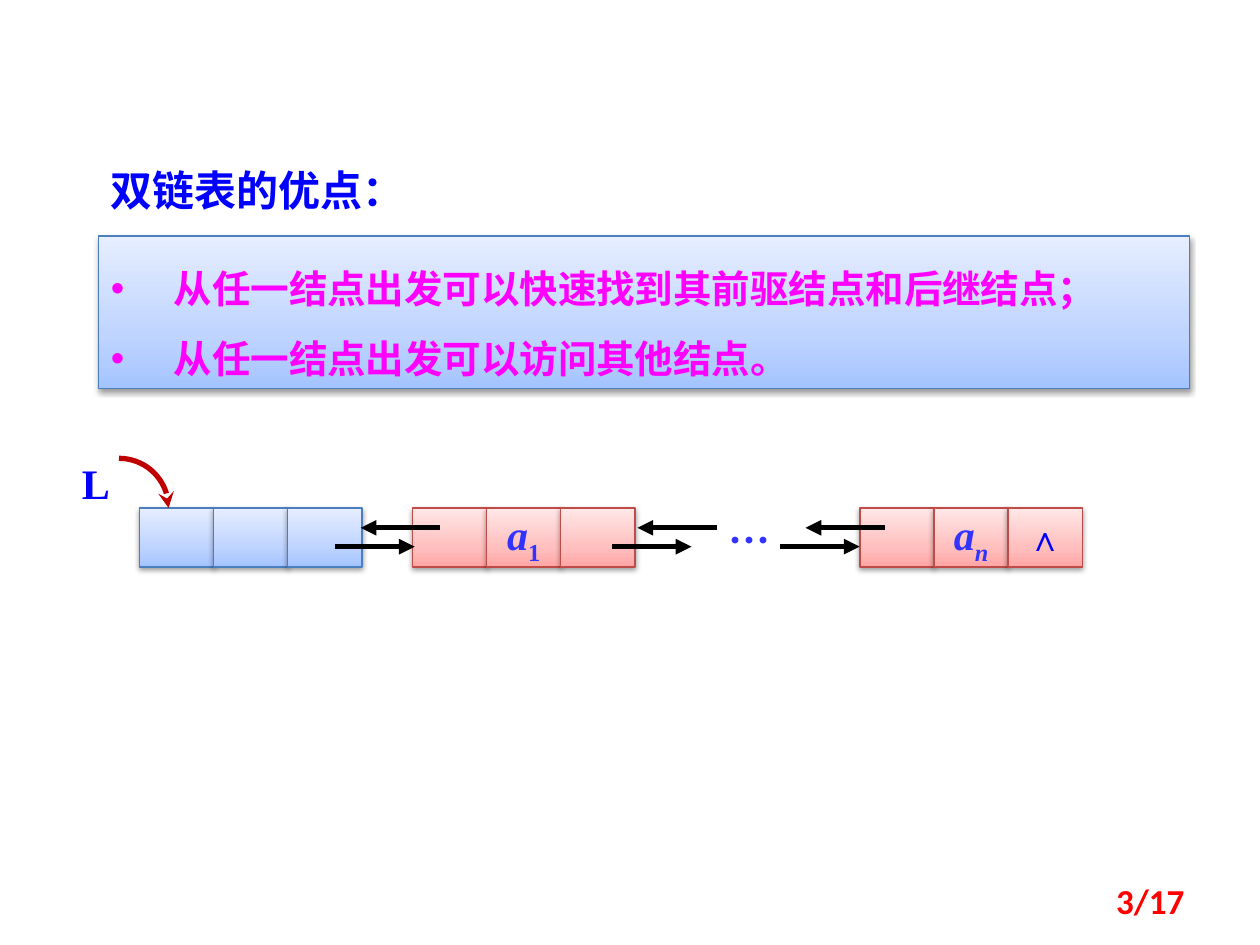
"""Build a slide on the advantages of a doubly linked list."""
import copy
import dataclasses
import math

import lxml.etree
import pptx
import pptx.dml.color
import pptx.enum.shapes
import pptx.enum.text
import pptx.oxml.ns
import pptx.util

Cm = pptx.util.Cm
Pt = pptx.util.Pt
qn = pptx.oxml.ns.qn
Align = pptx.enum.text.PP_ALIGN
Anchor = pptx.enum.text.MSO_ANCHOR

COLORS = {
    "blue": "0000FF",
    "symbol": "3333FF",
    "magenta": "FF00FF",
    "red": "FF0000",
    "pointer": "C00000",
    "black": "000000",
    "blue line": "4B7EBC",
    "pink line": "BF4C48",
}
GRADIENTS = {
    "blue": ("A4C4FF", "BFD4FF", "E6EEFF"),
    "pink": ("FFA6A5", "FFC0BF", "FFE7E7"),
}
STOPS = (0, 0.35, 1)
SERIF = "Times New Roman"
CELL_WIDTH, CELL_HEIGHT, CELL_PITCH = 1.5, 1.19, 1.49
NODE_TOP = 10.24
FORWARD_TOP, BACKWARD_TOP = 11.02, 10.64
ARROW_LENGTH, BACKWARD_SHIFT = 1.6, 0.51


@dataclasses.dataclass
class Node:
    left: float
    theme: str
    symbol: str = ""
    subscript: str = ""
    italic_subscript: bool = False
    end_mark: str = ""


@dataclasses.dataclass
class Label:
    text: str
    left: float
    top: float
    width: float
    height: float
    size: int
    font: str
    color: str
    align: Align = Align.LEFT
    anchor: Anchor = Anchor.TOP


NODES = [
    Node(2.82, "blue"),
    Node(8.32, "pink", "a", "1"),
    Node(17.34, "pink", "a", "n", True, "∧"),
]
LINK_LEFTS = [6.76, 12.34, 15.73]
LABELS = [
    Label("3/17", 18.2, 17.65, 5.93, 1.01, 20, "Calibri", "red", Align.RIGHT, Anchor.MIDDLE),
    Label("…", 14.3, 10.24, 1.6, 1.27, 24, "Noto Sans CJK SC", "symbol", Align.CENTER),
    Label("L", 1.4, 9.1, 1.2, 1.27, 24, SERIF, "blue"),
]


def rgb(value: str) -> pptx.dml.color.RGBColor:
    return pptx.dml.color.RGBColor.from_string(value)


def set_font(paragraph, size: int, name: str, color: str) -> None:
    paragraph.font.size = Pt(size)
    paragraph.font.name = name
    paragraph.font.bold = True
    paragraph.font.color.rgb = rgb(COLORS[color])


def place(shape, left: float, top: float, width: float, height: float) -> None:
    shape.left, shape.top = Cm(left), Cm(top)
    shape.width, shape.height = Cm(width), Cm(height)


def style_panel(shape, theme: str) -> None:
    shape.fill.gradient()
    shape.fill.gradient_angle = 90
    stop_list = shape._element.spPr.find(qn("a:gradFill")).find(qn("a:gsLst"))
    stop_list.append(copy.deepcopy(stop_list[0]))
    for stop, position, color in zip(shape.fill.gradient_stops, STOPS, GRADIENTS[theme]):
        stop.position = position
        stop.color.rgb = rgb(color)
    shape.line.color.rgb = rgb(COLORS[f"{theme} line"])
    shape.line.width = Pt(0.75)
    shape.shadow.inherit = False
    effects = shape._element.spPr.find(qn("a:effectLst"))
    shadow = lxml.etree.SubElement(
        effects, qn("a:outerShdw"), blurRad="40000", dist="20000", dir="5400000", rotWithShape="0"
    )
    color = lxml.etree.SubElement(shadow, qn("a:srgbClr"), val=COLORS["black"])
    lxml.etree.SubElement(color, qn("a:alpha"), val="38000")


def style_arrow(shape, color: str, end: str, head: str) -> None:
    shape.line.color.rgb = rgb(COLORS[color])
    shape.line.width = Pt(3)
    properties = shape._element.spPr
    lxml.etree.SubElement(properties.find(qn("a:ln")), qn(f"a:{end}"), type=head)
    lxml.etree.SubElement(properties, qn("a:effectLst"))


def cell_paragraph(cell):
    frame = cell.text_frame
    frame.word_wrap = False
    frame.vertical_anchor = Anchor.MIDDLE
    paragraph = frame.paragraphs[0]
    paragraph.alignment = Align.CENTER
    return paragraph


def add_node(slide, node: Node) -> None:
    cells = []
    for index in range(3):
        cell = slide.shapes.add_shape(
            pptx.enum.shapes.MSO_SHAPE.RECTANGLE,
            Cm(node.left + index * CELL_PITCH), Cm(NODE_TOP), Cm(CELL_WIDTH), Cm(CELL_HEIGHT),
        )
        style_panel(cell, node.theme)
        cells.append(cell)
    if node.symbol:
        paragraph = cell_paragraph(cells[1])
        set_font(paragraph, 24, SERIF, "symbol")
        symbol, subscript = paragraph.add_run(), paragraph.add_run()
        symbol.text, subscript.text = node.symbol, node.subscript
        symbol.font.italic = True
        subscript.font.italic = node.italic_subscript
        subscript._r.get_or_add_rPr().set("baseline", "-25000")
    if node.end_mark:
        paragraph = cell_paragraph(cells[2])
        paragraph.text = node.end_mark
        set_font(paragraph, 20, SERIF, "blue")


def add_link(slide, left: float) -> None:
    for start, top, end in (
        (left, FORWARD_TOP, "tailEnd"),
        (left + BACKWARD_SHIFT, BACKWARD_TOP, "headEnd"),
    ):
        arrow = slide.shapes.add_connector(
            pptx.enum.shapes.MSO_CONNECTOR.STRAIGHT,
            Cm(start), Cm(top), Cm(start + ARROW_LENGTH), Cm(top),
        )
        style_arrow(arrow, "black", end, "triangle")


def add_label(slide, label: Label) -> None:
    box = slide.shapes.add_textbox(Cm(label.left), Cm(label.top), Cm(label.width), Cm(label.height))
    box.text_frame.word_wrap = True
    box.text_frame.vertical_anchor = label.anchor
    paragraph = box.text_frame.paragraphs[0]
    paragraph.text = label.text
    paragraph.alignment = label.align
    set_font(paragraph, label.size, label.font, label.color)


def add_head_pointer(slide, left: float, bottom: float, radius: float) -> None:
    angles = [math.radians(90 - 5 * step) for step in range(19)]
    points = [
        (Cm(left + radius * math.cos(angle)), Cm(bottom - radius * math.sin(angle)))
        for angle in angles
    ]
    builder = slide.shapes.build_freeform(*points[0])
    builder.add_line_segments(points[1:], close=False)
    pointer = builder.convert_to_shape()
    pointer.fill.background()
    style_arrow(pointer, "pointer", "tailEnd", "stealth")


def fill_title(title) -> None:
    place(title, 1.98, 3.18, 13.8, 1.27)
    frame = title.text_frame
    frame.text = "双链表的优点："
    frame.vertical_anchor = Anchor.TOP
    frame.auto_size = pptx.enum.text.MSO_AUTO_SIZE.NONE
    frame.paragraphs[0].alignment = Align.LEFT
    set_font(frame.paragraphs[0], 24, SERIF, "blue")


def fill_body(body) -> None:
    place(body, 1.98, 4.76, 22, 3.07)
    style_panel(body, "blue")
    frame = body.text_frame
    frame.text = "从任一结点出发可以快速找到其前驱结点和后继结点；\n从任一结点出发可以访问其他结点。"
    frame.auto_size = pptx.enum.text.MSO_AUTO_SIZE.NONE
    for paragraph in frame.paragraphs:
        set_font(paragraph, 22, "Calibri", "magenta")
        paragraph.line_spacing = 1.5
        paragraph.space_before = Pt(0)
        properties = paragraph._p.get_or_add_pPr()
        properties.set("marL", str(Cm(1.27)))
        properties.set("indent", str(-Cm(1.27)))


presentation = pptx.Presentation()
presentation.slide_width, presentation.slide_height = Cm(25.4), Cm(19.05)
slide = presentation.slides.add_slide(presentation.slide_layouts[1])
fill_title(slide.shapes.title)
fill_body(slide.placeholders[1])
for node in NODES:
    add_node(slide, node)
for link_left in LINK_LEFTS:
    add_link(slide, link_left)
add_head_pointer(slide, 2.4, NODE_TOP, 1)
for label in LABELS:
    add_label(slide, label)
presentation.save("out.pptx")
